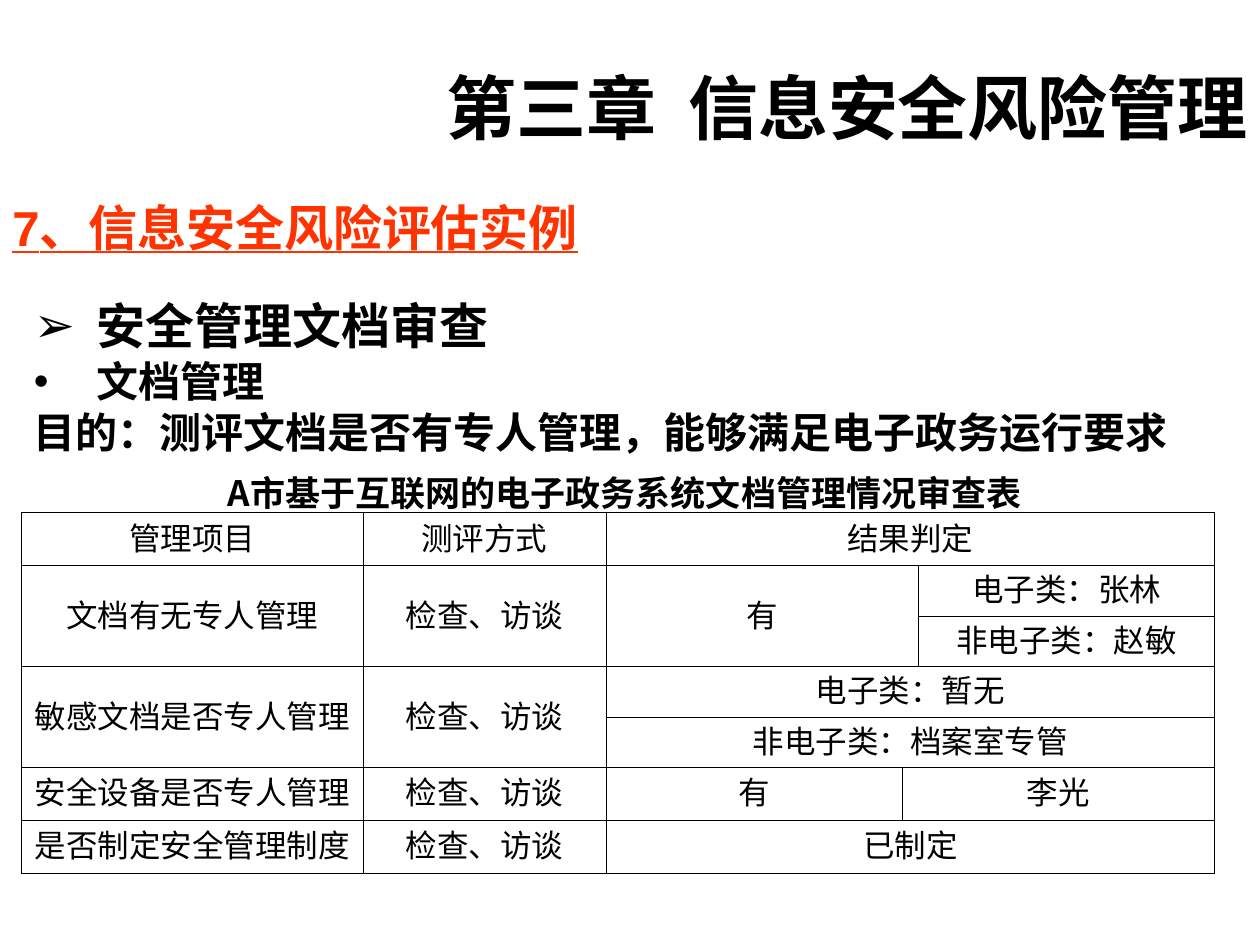
from lxml import etree
from pptx import Presentation
from pptx.dml.color import RGBColor
from pptx.enum.text import MSO_ANCHOR, PP_ALIGN
from pptx.oxml.ns import qn
from pptx.util import Inches, Pt

MIDDLE, TOP = MSO_ANCHOR.MIDDLE, MSO_ANCHOR.TOP
LEFT, CENTER, RIGHT = PP_ALIGN.LEFT, PP_ALIGN.CENTER, PP_ALIGN.RIGHT

COLORS = {"black": "000000", "red": "FF3300"}
SC, JP, ARIAL = "Noto Sans CJK SC", "Noto Sans CJK JP", "Arial"

TEXTS = [
    {"box": (1.58, 0.58, 8.42, 0.53), "anchor": MIDDLE, "align": RIGHT, "font": SC,
     "lines": [("第三章  信息安全风险管理", 40, None)]},
    {"box": (0, 1.52, 10, 0.57), "font": ARIAL, "color": "red", "underline": True,
     "lines": [("7、信息安全风险评估实例", 28, None)]},
    {"box": (0.17, 2.3, 9.93, 1.37), "anchor": MIDDLE, "font": JP, "indent": 0.5, "pitch": 1.215,
     "lines": [("安全管理文档审查", 28, "➢"),
               ("文档管理", 24, "•"),
               ("目的：测评文档是否有专人管理，能够满足电子政务运行要求", 24, None)]},
    {"box": (1.71, 3.69, 6.57, 0.44), "font": JP, "wrap": False, "pitch": 1.215,
     "lines": [("A市基于互联网的电子政务系统文档管理情况审查表", 20, None)]},
]

TABLE_AT = (0.17, 4.07)
COL_WIDTHS = [2.71, 1.93, 2.35, 0.13, 2.35]
ROW_HEIGHTS = [0.42, 0.4, 0.4, 0.4, 0.4, 0.42, 0.42]
METHOD = "检查、访谈"
CELLS = [
    (0, 0, 1, 1, "管理项目"), (0, 1, 1, 1, "测评方式"), (0, 2, 1, 3, "结果判定"),
    (1, 0, 2, 1, "文档有无专人管理"), (1, 1, 2, 1, METHOD), (1, 2, 2, 2, "有"),
    (1, 4, 1, 1, "电子类：张林"), (2, 4, 1, 1, "非电子类：赵敏"),
    (3, 0, 2, 1, "敏感文档是否专人管理"), (3, 1, 2, 1, METHOD),
    (3, 2, 1, 3, "电子类：暂无"), (4, 2, 1, 3, "非电子类：档案室专管"),
    (5, 0, 1, 1, "安全设备是否专人管理"), (5, 1, 1, 1, METHOD),
    (5, 2, 1, 1, "有"), (5, 3, 1, 2, "李光"),
    (6, 0, 1, 1, "是否制定安全管理制度"), (6, 1, 1, 1, METHOD), (6, 2, 1, 3, "已制定"),
]


def add_run(p, text, color="black", **formats):
    r = p.add_run()
    r.text = text
    for name, value in formats.items():
        setattr(r.font, name, value)
    r.font.color.rgb = RGBColor.from_string(COLORS[color])
    etree.SubElement(r.font._element, qn("a:ea"), typeface=formats["name"])


def set_bullet(p, indent, char):
    pPr = p._p.get_or_add_pPr()
    pPr.set("marL", str(Inches(indent)))
    pPr.set("indent", str(-Inches(indent)))
    if char:
        etree.SubElement(pPr, qn("a:buFont"), typeface=ARIAL)
        etree.SubElement(pPr, qn("a:buChar"), char=char)
    else:
        etree.SubElement(pPr, qn("a:buNone"))


def add_text(s, item):
    tf = s.shapes.add_textbox(*map(Inches, item["box"])).text_frame
    tf.word_wrap = item.get("wrap", True)
    tf.vertical_anchor = item.get("anchor", TOP)
    for i, (text, size, char) in enumerate(item["lines"]):
        p = tf.paragraphs[0] if i == 0 else tf.add_paragraph()
        p.alignment = item.get("align", LEFT)
        if "pitch" in item:
            p.line_spacing = Pt(round(size * item["pitch"], 1))
        if "indent" in item:
            set_bullet(p, item["indent"], char)
        add_run(p, text, item.get("color", "black"), name=item["font"], size=Pt(size),
                bold=True, underline=item.get("underline", False))


def set_borders(cell):
    tcPr = cell._tc.get_or_add_tcPr()
    for i, side in enumerate(("a:lnL", "a:lnR", "a:lnT", "a:lnB")):
        line = etree.Element(qn(side), w=str(Pt(0.45)))
        fill = etree.SubElement(line, qn("a:solidFill"))
        etree.SubElement(fill, qn("a:srgbClr"), val=COLORS["black"])
        tcPr.insert(i, line)


def add_review_table(s):
    size = sum(COL_WIDTHS), sum(ROW_HEIGHTS)
    table = s.shapes.add_table(len(ROW_HEIGHTS), len(COL_WIDTHS),
                               *map(Inches, TABLE_AT + size)).table
    table.first_row = table.horz_banding = False
    for column, width in zip(table.columns, COL_WIDTHS):
        column.width = Inches(width)
    for row, height in zip(table.rows, ROW_HEIGHTS):
        row.height = Inches(height)
    for cell in table.iter_cells():
        cell.fill.background()
        set_borders(cell)
    for row, col, row_span, col_span, text in CELLS:
        cell = table.cell(row, col)
        if row_span * col_span > 1:
            cell.merge(table.cell(row + row_span - 1, col + col_span - 1))
        cell.vertical_anchor = MIDDLE
        p = cell.text_frame.paragraphs[0]
        p.alignment = CENTER
        add_run(p, text, name=ARIAL, size=Pt(18))


def main():
    prs = Presentation()
    prs.slide_width, prs.slide_height = Inches(10), Inches(7.5)
    s = prs.slides.add_slide(prs.slide_layouts[6])
    for item in TEXTS[:-1]:
        add_text(s, item)
    add_review_table(s)
    add_text(s, TEXTS[-1])
    prs.save("out.pptx")


if __name__ == "__main__":
    main()
